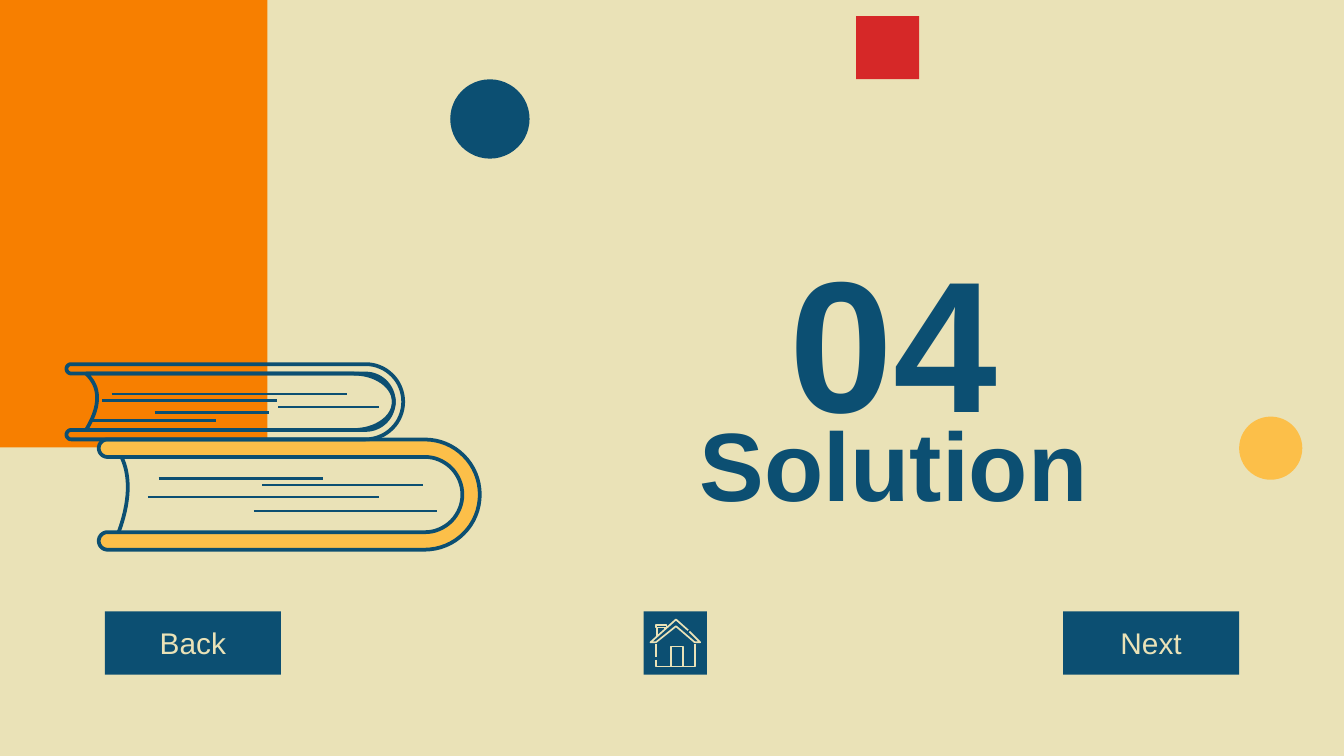
import math
from dataclasses import dataclass

import pptx
import pptx.dml.color
import pptx.enum.shapes
import pptx.enum.text
import pptx.oxml
import pptx.oxml.ns
import pptx.util

Inches = pptx.util.Inches
SHAPE = pptx.enum.shapes.MSO_SHAPE


@dataclass(frozen=True)
class Theme:
    cream: str = "EAE2B7"
    navy: str = "0C4F72"
    orange: str = "F77F00"
    yellow: str = "FCBF49"
    red: str = "D62828"
    font: str = "Arial"
    number: int = 100
    title: int = 52
    button: int = 16
    outline: float = 2
    rule: float = 1.25
    icon: float = 0.9


THEME = Theme()


def paint(fill, color):
    if color is None:
        fill.background()
    else:
        fill.solid()
        fill.fore_color.rgb = pptx.dml.color.RGBColor.from_string(color)


def stroke(line, color, width):
    paint(line.fill, color)
    line.width = pptx.util.Pt(width)


def assign(target, values):
    for name, value in values.items():
        setattr(target, name, value)


def write(shape, text, size, color, bold=False):
    frame = shape.text_frame
    frame.text = text
    inset = Inches(0.1)
    assign(frame, {
        "word_wrap": True,
        "auto_size": pptx.enum.text.MSO_AUTO_SIZE.NONE,
        "vertical_anchor": pptx.enum.text.MSO_ANCHOR.MIDDLE,
        "margin_left": inset, "margin_right": inset,
        "margin_top": inset, "margin_bottom": inset,
    })
    line = frame.paragraphs[0]
    assign(line, {
        "alignment": pptx.enum.text.PP_ALIGN.CENTER,
        "line_spacing": 1.0,
        "space_before": pptx.util.Pt(0),
    })
    font = line.runs[0].font
    assign(font, {"name": THEME.font, "size": pptx.util.Pt(size), "bold": bold})
    font.color.rgb = pptx.dml.color.RGBColor.from_string(color)


def add_heading(holder, text, size, top, height):
    assign(holder, {"left": Inches(4.53), "top": Inches(top),
                    "width": Inches(4.24), "height": Inches(height)})
    write(holder, text, size, THEME.navy, bold=True)


def add_block(shapes, kind, left, top, width, height, color):
    block = shapes.add_shape(kind, *map(Inches, (left, top, width, height)))
    block.shadow.inherit = False
    paint(block.fill, color)
    block.line.fill.background()
    return block


def add_button(shapes, left, text):
    button = add_block(shapes, SHAPE.RECTANGLE, left, 4.55, 1.31, 0.47, THEME.navy)
    write(button, text, THEME.button, THEME.cream)


def add_path(shapes, points, color, width, fill=None, close=False):
    points = [(Inches(x), Inches(y)) for x, y in points]
    pen = shapes.build_freeform(*points[0], scale=1.0)
    pen.add_line_segments(points[1:], close=close)
    shape = pen.convert_to_shape()
    shape.shadow.inherit = False
    paint(shape.fill, fill)
    stroke(shape.line, color, width)


def add_rule(shapes, left, right, y):
    rule = shapes.add_connector(pptx.enum.shapes.MSO_CONNECTOR.STRAIGHT,
                                *map(Inches, (left, y, right, y)))
    stroke(rule.line, THEME.navy, THEME.rule)
    effect = pptx.oxml.parse_xml(
        "<a:effectLst %s/>" % pptx.oxml.ns.nsdecls("a"))
    rule._element.spPr.append(effect)


def arc(x, y, wide, high, start, end, steps=32):
    """Points of an elliptic arc; angles in degrees, clockwise from the right."""
    angles = [math.radians(start + (end - start) * i / steps)
              for i in range(steps + 1)]
    return [(x + wide * math.cos(a), y + high * math.sin(a)) for a in angles]


def curve(p0, p1, p2, p3, steps=24):
    """Points of a cubic Bezier curve."""
    result = []
    for i in range(steps + 1):
        t = i / steps
        parts = ((1 - t) ** 3, 3 * t * (1 - t) ** 2, 3 * t * t * (1 - t), t ** 3)
        result.append(tuple(sum(w * p[k] for w, p in zip(parts, (p0, p1, p2, p3)))
                            for k in (0, 1)))
    return result


def add_cover(shapes, left, x, y, outer, inner, fill=None):
    """A U-shaped cover with round tips, bent around the point x, y."""
    cap, mid = (outer - inner) / 2, (outer + inner) / 2
    points = (arc(x, y, outer, outer, -90, 90)
              + arc(left, y + mid, cap, cap, 90, 270)
              + arc(x, y, inner, inner, 90, -90)
              + arc(left, y - mid, cap, cap, 90, 270))
    add_path(shapes, points, THEME.navy, THEME.outline, fill, close=True)


def add_lower(shapes):
    pages = curve((0.87, 3.34), (0.98, 3.5), (0.98, 3.73), (0.86, 4.02))
    add_path(shapes, pages, THEME.navy, THEME.outline)
    add_cover(shapes, 0.8, 3.16, 3.68, 0.41, 0.28, THEME.yellow)
    for rule in ((1.1, 2.82, 3.7), (1.95, 3.15, 3.61),
                 (1.89, 3.25, 3.8), (1.18, 2.4, 3.56)):
        add_rule(shapes, *rule)


def add_upper(shapes):
    add_cover(shapes, 0.53, 2.72, 2.99, 0.28, 0.21)
    edge = curve((0.64, 3.2), (0.75, 3.02), (0.75, 2.88), (0.64, 2.78))
    pages = edge + arc(2.63, 2.99, 0.3, 0.21, -90, 90)
    add_path(shapes, pages, THEME.navy, THEME.outline, close=True)
    for rule in ((0.83, 2.58, 2.93), (0.76, 2.06, 2.98), (1.15, 2, 3.07),
                 (0.67, 1.61, 3.13), (2.07, 2.82, 3.03)):
        add_rule(shapes, *rule)


def add_house(shapes):
    roof = [(5.12, 4.69), (5.03, 4.61), (4.84, 4.78), (4.88, 4.78), (5.03, 4.66),
            (5.17, 4.78), (5.21, 4.78), (5.13, 4.7)]
    walls = [(4.88, 4.91), (4.88, 4.96), (5.17, 4.96), (5.17, 4.79)]
    side = [(4.88, 4.79), (4.88, 4.89)]
    door = [(4.99, 4.96), (4.99, 4.81), (5.08, 4.81), (5.08, 4.96)]
    stack = [(4.89, 4.73), (4.89, 4.67), (4.95, 4.67), (4.95, 4.69)]
    top = [(4.88, 4.67), (4.88, 4.65), (4.96, 4.65), (4.96, 4.67), (4.88, 4.67)]
    for part in (roof, walls, side, door, stack, top):
        add_path(shapes, part, THEME.cream, THEME.icon)


def main():
    deck = pptx.Presentation()
    deck.slide_width = Inches(10)
    deck.slide_height = deck.slide_width * 9 // 16
    slide = deck.slides.add_slide(deck.slide_layouts[0])
    paint(slide.background.fill, THEME.cream)
    shapes = slide.shapes

    add_heading(shapes.title, "Solution", THEME.title, 3.03, 0.83)
    add_heading(slide.placeholders[1], "04", THEME.number, 1.91, 1.21)

    add_block(shapes, SHAPE.RECTANGLE, 0, 0, 1.99, 3.33, THEME.orange)
    add_lower(shapes.add_group_shape().shapes)
    add_upper(shapes.add_group_shape().shapes)

    add_block(shapes, SHAPE.RECTANGLE, 6.37, 0.12, 0.47, 0.47, THEME.red)
    add_block(shapes, SHAPE.OVAL, 3.35, 0.59, 0.59, 0.59, THEME.navy)
    add_block(shapes, SHAPE.OVAL, 9.22, 3.1, 0.47, 0.47, THEME.yellow)

    add_button(shapes, 0.78, "Back")
    add_block(shapes, SHAPE.RECTANGLE, 4.79, 4.55, 0.47, 0.47, THEME.navy)
    add_house(shapes.add_group_shape().shapes)
    add_button(shapes, 7.91, "Next")

    deck.save("out.pptx")


if __name__ == "__main__":
    main()
